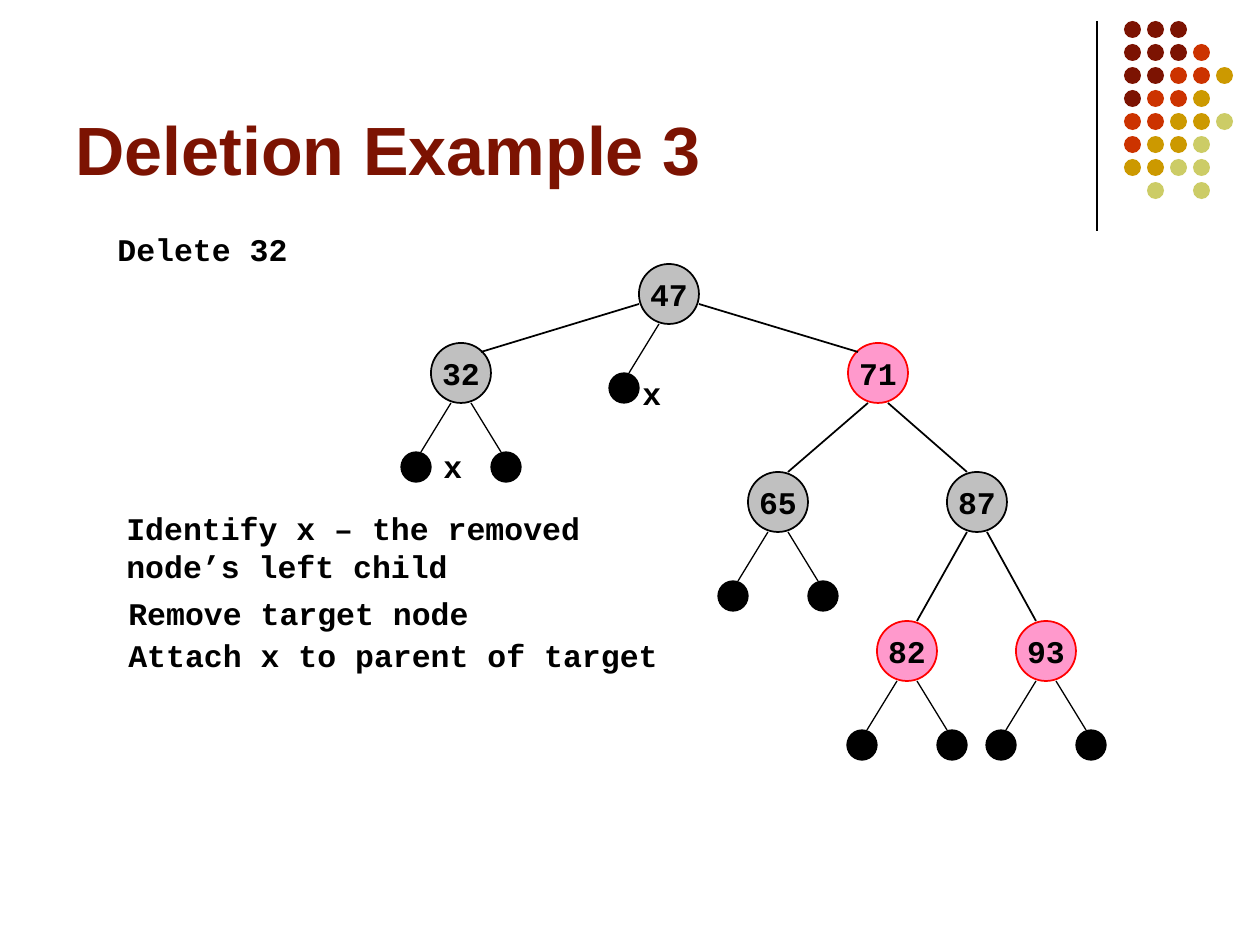
import pptx
import pptx.dml.color
import pptx.enum.shapes
import pptx.enum.text
import pptx.oxml.ns
import pptx.util
from lxml import etree

SCALE = 914400 / 126  # EMU in one px
COLOURS = {
    "black": "000000", "grey": "C0C0C0", "pink": "FF99CC", "red": "FF0000",
    "maroon": "7C1302", "rust": "CC3300", "gold": "CC9900", "lime": "CCCC66",
}
NODE_RADIUS, LEAF_RADIUS = 30, 15

# Corner dots: one letter a dot, a space for a gap
DOT_ROWS = ["mmm", "mmmr", "mmrrg", "mrrg", "rrggl", "rggl", "ggll", " l l"]
DOT_COLOURS = {"m": "maroon", "r": "rust", "g": "gold", "l": "lime"}
DOT_LEFT, DOT_TOP, DOT_STEP, DOT_RADIUS = 1124, 21, 23, 8.5

# Key: centre x, centre y, fill, outline, sides that carry a black leaf
NODES = {
    "47": (669, 294, "grey", "black", [-1]),
    "32": (461, 373, "grey", "black", [-1, 1]),
    "71": (878, 373, "pink", "red", []),
    "65": (778, 502, "grey", "black", [-1, 1]),
    "87": (977, 502, "grey", "black", []),
    "82": (907, 651, "pink", "red", [-1, 1]),
    "93": (1046, 651, "pink", "red", [-1, 1]),
}
# Parent, child, and where the edge leaves and meets their centres
WIDE, STEEP = ((30, 10), (20, -21)), ((10, 30), (10, -30))
EDGES = [
    ("47", "32", WIDE), ("47", "71", WIDE),
    ("71", "65", STEEP), ("71", "87", STEEP),
    ("87", "82", STEEP), ("87", "93", STEEP),
]
# Text, left, top, width, height
NOTES = [
    ("Delete 32", 105, 224, 328, 50),
    ("x", 431, 441, 59, 50),
    ("x", 630, 368, 59, 50),
    ("Identify x – the removed node’s left child", 114, 503, 517, 88),
    ("Remove target node", 116, 588, 567, 50),
    ("Attach x to parent of target", 116, 630, 567, 50),
]


def px(*lengths):
    return [pptx.util.Emu(round(length * SCALE)) for length in lengths]


def rgb(name):
    return pptx.dml.color.RGBColor.from_string(COLOURS[name])


def write_text(shape, text, size, font, colour):
    para = shape.text_frame.paragraphs[0]
    para.text = text
    span = para.runs[0]
    span.font.size = pptx.util.Pt(size)
    span.font.name = font
    span.font.bold = True
    span.font.color.rgb = rgb(colour)
    return para


def add_text(page, text, left, top, width, height,
             size=18, font="Courier New", colour="black"):
    box = page.shapes.add_textbox(*px(left, top, width, height))
    box.text_frame.word_wrap = True
    write_text(box, text, size, font, colour)
    return box


def add_line(page, x1, y1, x2, y2, width=0.75):
    line = page.shapes.add_connector(
        pptx.enum.shapes.MSO_CONNECTOR.STRAIGHT, *px(x1, y1, x2, y2))
    line.line.color.rgb = rgb("black")
    line.line.width = pptx.util.Pt(width)
    properties = line._element.spPr
    etree.SubElement(properties, pptx.oxml.ns.qn("a:effectLst"))


def add_circle(page, x, y, radius, fill, outline=None, width=0.75):
    circle = page.shapes.add_shape(
        pptx.enum.shapes.MSO_SHAPE.OVAL,
        *px(x - radius, y - radius, 2 * radius, 2 * radius))
    circle.shadow.inherit = False
    circle.fill.solid()
    circle.fill.fore_color.rgb = rgb(fill)
    if outline:
        circle.line.color.rgb = rgb(outline)
        circle.line.width = pptx.util.Pt(width)
    else:
        circle.line.fill.background()
    return circle


def add_leaf(page, x, y, side):
    add_line(page, x + 10 * side, y + 30, x + 40 * side, y + 79)
    add_circle(page, x + 45 * side, y + 94, LEAF_RADIUS, "black", "black")


def add_node(page, key, x, y, fill, outline, leaf_sides):
    circle = add_circle(page, x, y, NODE_RADIUS, fill, outline, 1)
    frame = circle.text_frame
    frame.margin_left = frame.margin_right = 0
    frame.margin_top = frame.margin_bottom = 0
    frame.word_wrap = False
    frame.vertical_anchor = pptx.enum.text.MSO_ANCHOR.MIDDLE
    para = write_text(circle, key, 18, "Courier New", "black")
    para.alignment = pptx.enum.text.PP_ALIGN.CENTER
    for side in leaf_sides:
        add_leaf(page, x, y, side)


def add_edge(page, parent, child, offsets):
    x1, y1 = NODES[parent][:2]
    x2, y2 = NODES[child][:2]
    side = 1 if x2 > x1 else -1
    (out_x, out_y), (in_x, in_y) = offsets
    add_line(page, x1 + side * out_x, y1 + out_y,
             x2 - side * in_x, y2 + in_y, 1)


def add_corner_dots(page):
    add_line(page, 1097, 21, 1097, 231)
    for row, letters in enumerate(DOT_ROWS):
        for column, letter in enumerate(letters):
            if letter in DOT_COLOURS:
                add_circle(page, DOT_LEFT + DOT_RADIUS + column * DOT_STEP,
                           DOT_TOP + DOT_RADIUS + row * DOT_STEP,
                           DOT_RADIUS, DOT_COLOURS[letter])


def main():
    deck = pptx.Presentation()
    deck.slide_width, deck.slide_height = px(1260, 945)
    page = deck.slides.add_slide(deck.slide_layouts[6])

    # Decoration and title
    add_corner_dots(page)
    title = add_text(page, "Deletion Example 3", 63, 16, 1040, 179,
                     39, "Arial", "maroon")
    title.text_frame.vertical_anchor = pptx.enum.text.MSO_ANCHOR.BOTTOM

    # Tree
    for key, node in NODES.items():
        add_node(page, key, *node)
    for edge in EDGES:
        add_edge(page, *edge)

    # Steps and x marks
    for note in NOTES:
        add_text(page, *note)

    deck.save("out.pptx")


if __name__ == "__main__":
    main()
